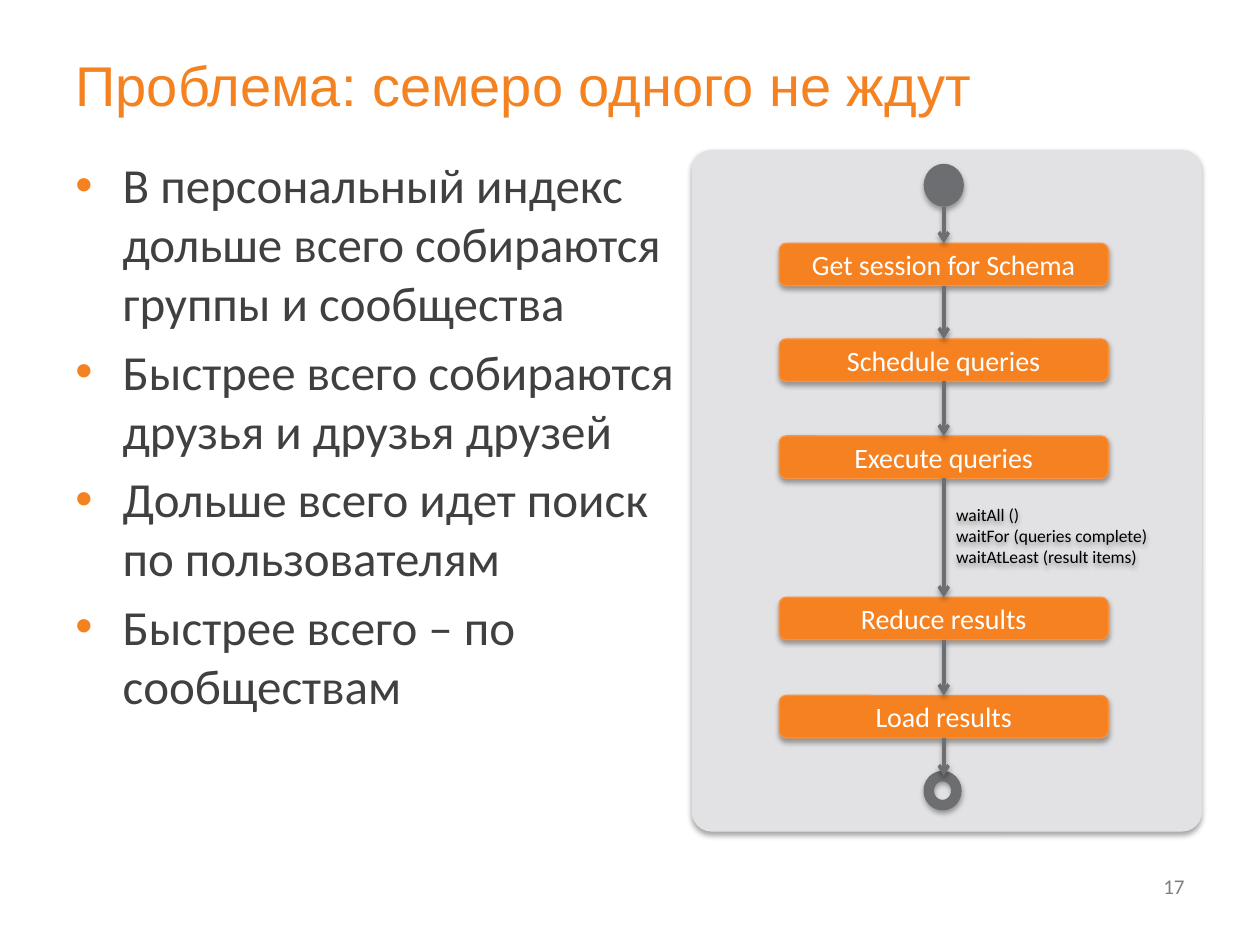
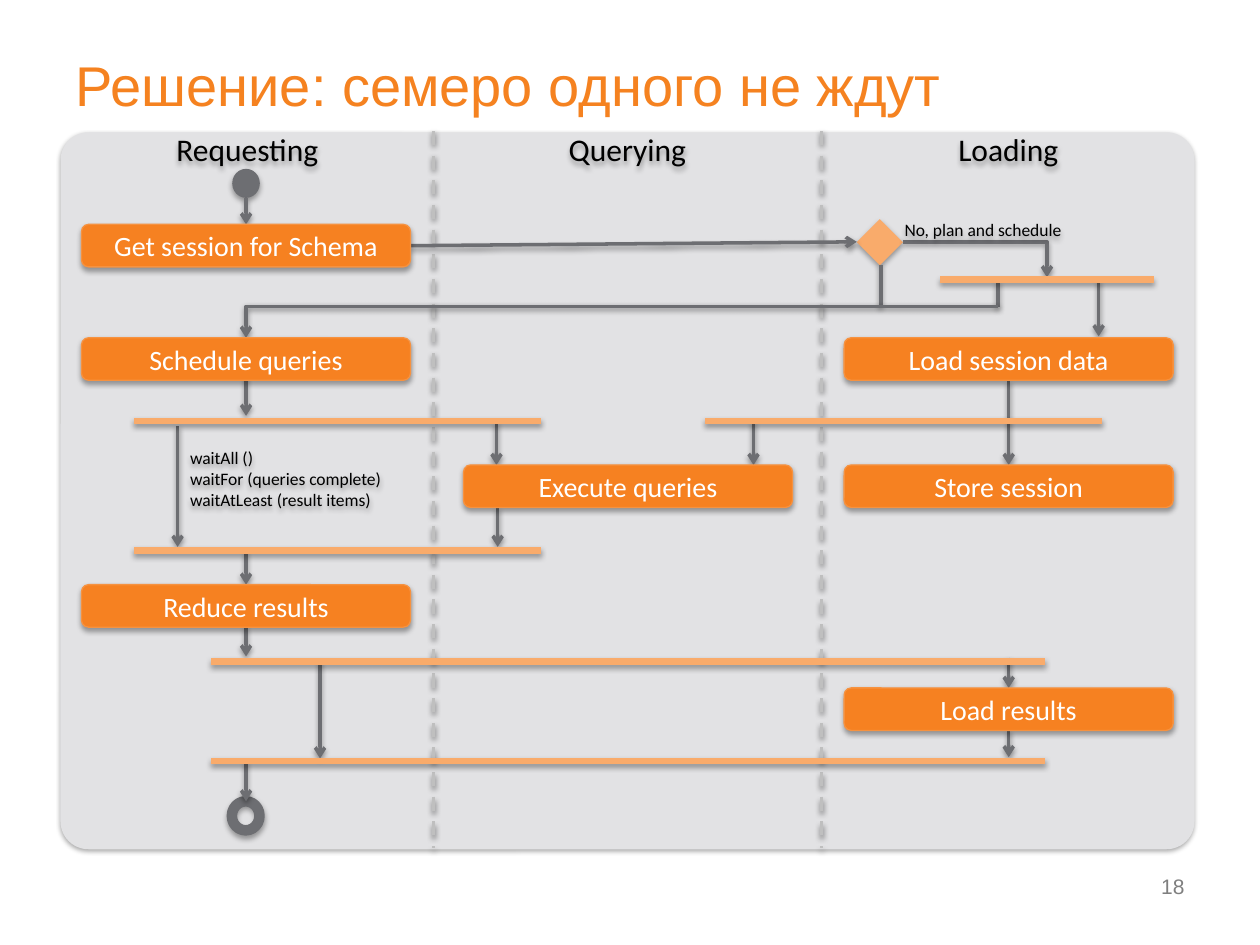
from dataclasses import dataclass
from itertools import pairwise

from lxml.etree import SubElement
from pptx import Presentation
from pptx.dml.color import RGBColor
from pptx.enum.dml import MSO_LINE
from pptx.enum.shapes import MSO_CONNECTOR, MSO_SHAPE
from pptx.enum.text import MSO_ANCHOR, PP_ALIGN
from pptx.oxml.ns import qn
from pptx.util import Pt

ORANGE = RGBColor(0xF5, 0x82, 0x20)
BOX_FILL = RGBColor(0xF6, 0x81, 0x21)
BOX_LINE = RGBColor(0xF6, 0x92, 0x40)
LIGHT_ORANGE = RGBColor(0xF9, 0xAB, 0x6B)
PANEL_GRAY = RGBColor(0xE2, 0xE2, 0xE4)
DARK_GRAY = RGBColor(0x6D, 0x6E, 0x72)
LANE_GRAY = RGBColor(0xBF, 0xBF, 0xBF)
BODY_GRAY = RGBColor(0x40, 0x40, 0x40)
NUMBER_GRAY = RGBColor(0x7F, 0x7F, 0x7F)
BLACK = RGBColor(0, 0, 0)
WHITE = RGBColor(0xFF, 0xFF, 0xFF)

BOX_W, BOX_H = 188, 24.3
BAR_H = 15.8
RING_W, RING_H = 15.8, 16.6
FLOW_X = 539.3
REQUESTING_X, QUERYING_X, LOADING_X = 140.6, 358.9, 576.4
LANE_EDGES = (35, 247.7, 469.4, 683)
WAIT_LINES = ["waitAll ()", "waitFor (queries complete)", "waitAtLeast (result items)"]
BULLETS = [
    "В персональный индекс дольше всего собираются группы и сообщества",
    "Быстрее всего собираются друзья и друзья друзей",
    "Дольше всего идет поиск по пользователям",
    "Быстрее всего – по сообществам",
]


@dataclass
class Area:
    left: float
    top: float
    width: float
    height: float

    def emu(self) -> list:
        return [Pt(v) for v in (self.left, self.top, self.width, self.height)]


@dataclass
class Box:
    text: str
    center: float
    top: float


@dataclass
class Link:
    x1: float
    y1: float
    x2: float
    y2: float
    arrow: bool = True
    bent: bool = False
    lane: bool = False


@dataclass
class Style:
    size: float
    color: RGBColor
    font: str = "Calibri"
    align: PP_ALIGN = PP_ALIGN.LEFT


BOX_STYLE = Style(16, WHITE, align=PP_ALIGN.CENTER)
LANE_STYLE = Style(18, BLACK, align=PP_ALIGN.CENTER)
NOTE_STYLE = Style(10, BLACK)


def add_shadow(sp, alpha: int = 35, dist: float = 1.8) -> None:
    effects = SubElement(sp._element.spPr, qn("a:effectLst"))
    outer = SubElement(effects, qn("a:outerShdw"), blurRad=str(Pt(3.1)),
                       dist=str(Pt(dist)), dir="5400000", rotWithShape="0")
    color = SubElement(outer, qn("a:srgbClr"), val="000000")
    SubElement(color, qn("a:alpha"), val=str(alpha * 1000))


def write(tf, lines: list[str], style: Style, anchor=MSO_ANCHOR.MIDDLE) -> None:
    tf.word_wrap = True
    tf.vertical_anchor = anchor
    tf.text = "\n".join(lines)
    for p in tf.paragraphs:
        p.alignment = style.align
        for r in p.runs:
            r.font.size = Pt(style.size)
            r.font.name = style.font
            r.font.color.rgb = style.color


def add_label(s, area: Area, lines: list[str], style: Style, shadow: bool = True):
    sp = s.shapes.add_textbox(*area.emu())
    write(sp.text_frame, lines, style)
    if shadow:
        add_shadow(sp)
    return sp


def add_solid(s, kind: MSO_SHAPE, area: Area, fill: RGBColor):
    sp = s.shapes.add_shape(kind, *area.emu())
    sp.fill.solid()
    sp.fill.fore_color.rgb = fill
    sp.line.fill.background()
    add_shadow(sp)
    return sp


def add_panel(s, area: Area) -> None:
    add_solid(s, MSO_SHAPE.ROUNDED_RECTANGLE, area, PANEL_GRAY).adjustments[0] = 0.039


def add_box(s, box: Box) -> None:
    area = Area(box.center - BOX_W / 2, box.top, BOX_W, BOX_H)
    sp = add_solid(s, MSO_SHAPE.ROUNDED_RECTANGLE, area, BOX_FILL)
    sp.line.color.rgb = BOX_LINE
    sp.line.width = Pt(0.75)
    write(sp.text_frame, [box.text], BOX_STYLE)


def add_ring(s, center: float, top: float) -> None:
    area = Area(center - RING_W / 2, top, RING_W, RING_H)
    sp = s.shapes.add_shape(MSO_SHAPE.OVAL, *area.emu())
    sp.fill.background()
    sp.line.color.rgb = DARK_GRAY
    sp.line.width = Pt(6)
    add_shadow(sp)


def add_link(s, link: Link) -> None:
    kind = MSO_CONNECTOR.ELBOW if link.bent else MSO_CONNECTOR.STRAIGHT
    c = s.shapes.add_connector(kind, Pt(link.x1), Pt(link.y1), Pt(link.x2), Pt(link.y2))
    if link.bent:
        c._element.spPr.find(qn("a:prstGeom")).set("prst", "bentConnector2")
    c.line.color.rgb = LANE_GRAY if link.lane else DARK_GRAY
    c.line.width = Pt(2)
    if link.lane:
        c.line.dash_style = MSO_LINE.DASH
    if link.arrow:
        SubElement(c.line._get_or_add_ln(), qn("a:tailEnd"), type="arrow")
    add_shadow(c, 38, 1.6)


def add_bullets(s, area: Area, lines: list[str]) -> None:
    sp = s.shapes.add_textbox(*area.emu())
    write(sp.text_frame, lines, Style(28, BODY_GRAY), MSO_ANCHOR.TOP)
    for p in sp.text_frame.paragraphs:
        p.space_before = Pt(5.6)
        ppr = p._p.get_or_add_pPr()
        ppr.set("marL", str(Pt(27)))
        ppr.set("indent", str(Pt(-27)))
        color = SubElement(ppr, qn("a:buClr"))
        SubElement(color, qn("a:srgbClr"), val=str(ORANGE))
        SubElement(ppr, qn("a:buFont"), typeface="Arial")
        SubElement(ppr, qn("a:buChar"), char="•")


def add_titled_slide(prs, title: str, number: int, number_font: str):
    s = prs.slides.add_slide(prs.slide_layouts[5])
    sp = s.shapes.title
    sp.left, sp.top, sp.width, sp.height = Area(36, 21.6, 648, 53.3).emu()
    write(sp.text_frame, [title], Style(32, ORANGE, "Arial"))
    add_label(s, Area(516.2, 491.8, 167.8, 28.8), [str(number)],
              Style(12, NUMBER_GRAY, number_font, PP_ALIGN.RIGHT), shadow=False)
    return s


def build_problem(prs) -> None:
    s = add_titled_slide(prs, "Проблема: семеро одного не ждут", 17, "Calibri")
    add_bullets(s, Area(36, 85, 359.3, 389.5), BULLETS)
    add_panel(s, Area(395.3, 85.7, 291.6, 389.5))
    add_solid(s, MSO_SHAPE.OVAL, Area(FLOW_X - 11.5, 93.6, 23, 24.5), DARK_GRAY)
    steps = [
        Box("Get session for Schema", FLOW_X, 139),
        Box("Schedule queries", FLOW_X, 193.7),
        Box("Execute queries", FLOW_X, 249.1),
        Box("Reduce results", FLOW_X, 341.3),
        Box("Load results", FLOW_X, 397.4),
    ]
    ring_top = 443.5
    add_ring(s, FLOW_X - 0.7, ring_top)
    for step in steps:
        add_box(s, step)
    add_link(s, Link(FLOW_X, 118.1, FLOW_X, steps[0].top))
    tops = [step.top for step in steps] + [ring_top]
    for upper, lower in pairwise(tops):
        add_link(s, Link(FLOW_X, upper + BOX_H, FLOW_X, lower))
    add_label(s, Area(FLOW_X, 282.2, 133.2, 47.5), WAIT_LINES, NOTE_STYLE)


def build_solution(prs) -> None:
    s = add_titled_slide(prs, "Решение: семеро одного не ждут", 18, "Arial")
    add_panel(s, Area(34.6, 75.6, 648, 409.7))
    for x in LANE_EDGES[1:-1]:
        add_link(s, Link(x, 74.9, x, 484.6, arrow=False, lane=True))
    lanes = ("Requesting", "Querying", "Loading")
    for name, (left, right) in zip(lanes, pairwise(LANE_EDGES)):
        add_label(s, Area(left, 73.4, right - left, 23), [name], LANE_STYLE)

    add_solid(s, MSO_SHAPE.OVAL, Area(REQUESTING_X - RING_W / 2, 96.5, RING_W, RING_H), DARK_GRAY)
    add_ring(s, REQUESTING_X - 0.2, 457.9)
    add_solid(s, MSO_SHAPE.DIAMOND, Area(489.6, 125.3, 26.3, 26.3), LIGHT_ORANGE)

    down_arrows = [
        (REQUESTING_X, 113, 128.2),
        (REQUESTING_X, 214.6, 237.6),
        (REQUESTING_X, 314.6, 334.1),
        (REQUESTING_X, 357.8, 375.1),
        (REQUESTING_X, 434.9, 457.9),
        (LOADING_X, 217.4, 265.7),
        (LOADING_X, 375.8, 393.1),
        (LOADING_X, 416.9, 432.7),
        (430.6, 240.5, 265.7),
        (283.7, 241.2, 265.7),
        (284.4, 290.2, 312.5),
        (101.5, 243.4, 312.5),
        (182.9, 377.3, 433.4),
        (627.8, 159.8, 192.2),
    ]
    links = [Link(x, y1, x, y2) for x, y1, y2 in down_arrows] + [
        Link(234.7, 140.4, 489.6, 138.2),
        Link(516.2, 138.2, 598.3, 158.4, bent=True),
        Link(570.2, 160.6, 570.2, 175.7, arrow=False),
        Link(503.3, 151.2, 503.3, 175, arrow=False),
        Link(570.2, 175, REQUESTING_X, 193, bent=True),
    ]
    for link in links:
        add_link(s, link)

    bars = [
        (514.8, 151.9, 167),
        (362.2, 232.6, 308.2),
        (34.6, 232.6, 316.8),
        (34.6, 306.7, 316.8),
        (34.6, 370.1, 648.7),
        (34.6, 427, 648.7),
    ]
    for left, top, width in bars:
        add_solid(s, MSO_SHAPE.MATH_MINUS, Area(left, top, width, BAR_H), LIGHT_ORANGE)

    boxes = [
        Box("Get session for Schema", REQUESTING_X, 128.2),
        Box("Schedule queries", REQUESTING_X, 193),
        Box("Reduce results", REQUESTING_X, 334.1),
        Box("Execute queries", QUERYING_X, 265.7),
        Box("Load session data", LOADING_X, 193),
        Box("Store session", LOADING_X, 265.7),
        Box("Load results", LOADING_X, 393.1),
    ]
    for box in boxes:
        add_box(s, box)
    add_label(s, Area(509.8, 122.4, 111.6, 18), ["No, plan and schedule"], NOTE_STYLE)
    add_label(s, Area(101.5, 249.8, 133.2, 47.5), WAIT_LINES, NOTE_STYLE)


def main() -> None:
    prs = Presentation()
    prs.slide_width, prs.slide_height = Pt(720), Pt(540)
    build_problem(prs)
    build_solution(prs)
    prs.save("out.pptx")


if __name__ == "__main__":
    main()
